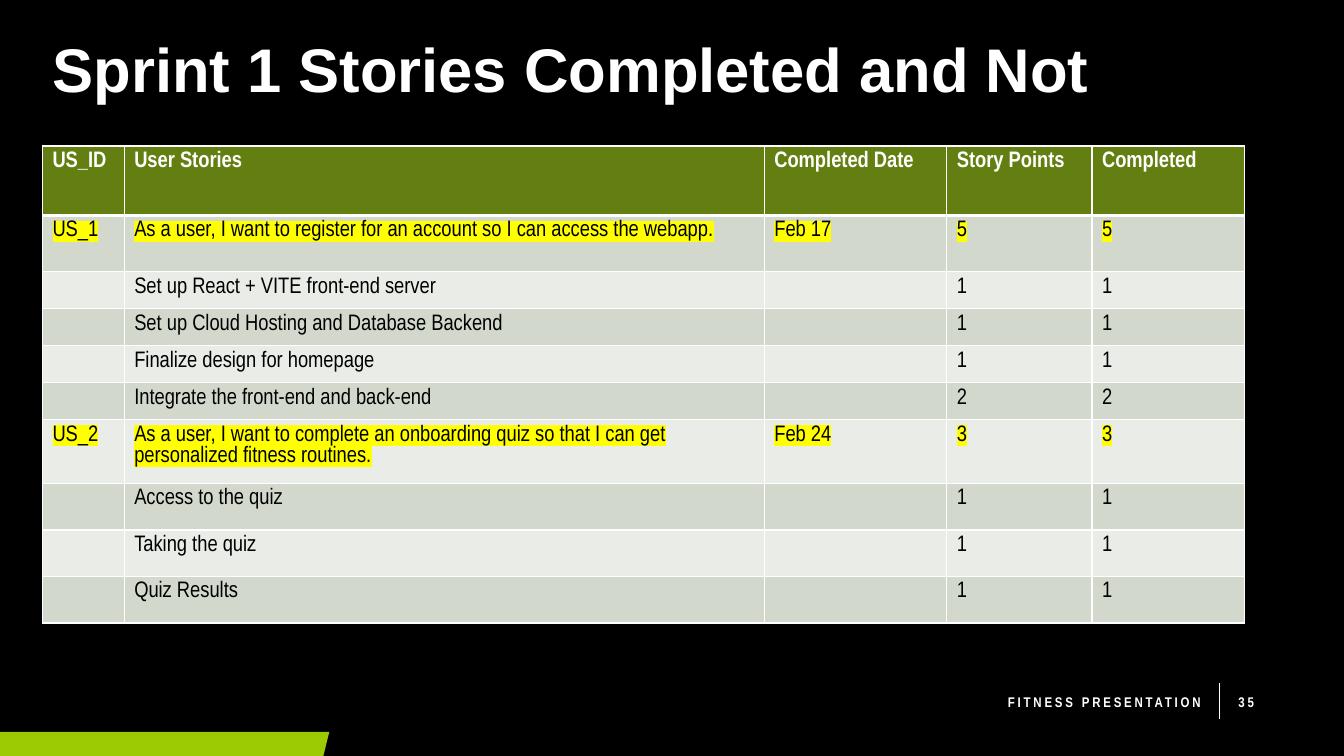
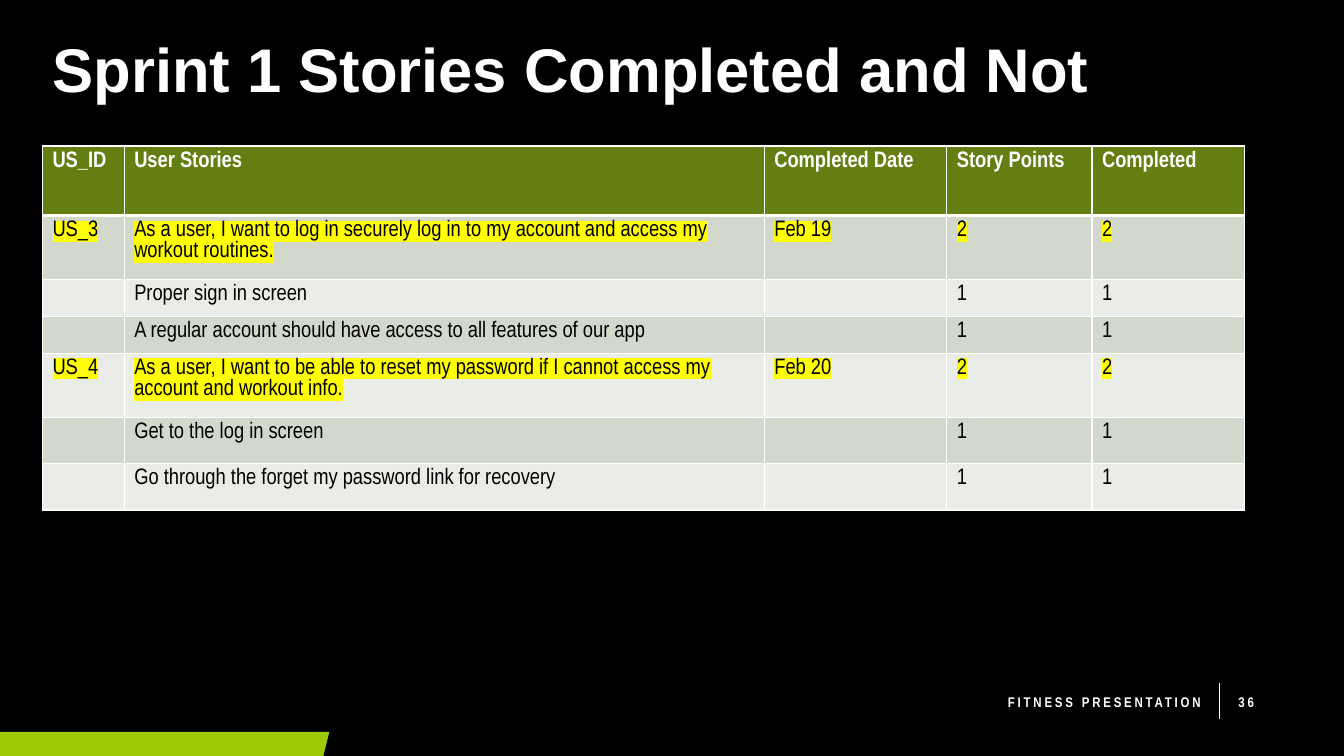
from lxml import etree
from pptx import Presentation
from pptx.dml.color import RGBColor
from pptx.enum.shapes import MSO_CONNECTOR
from pptx.enum.text import MSO_ANCHOR, MSO_AUTO_SIZE, PP_ALIGN
from pptx.oxml.ns import qn
from pptx.util import Cm, Pt

STRAIGHT = MSO_CONNECTOR.STRAIGHT
MIDDLE = MSO_ANCHOR.MIDDLE
NO_AUTOFIT = MSO_AUTO_SIZE.NONE
LEFT, RIGHT = PP_ALIGN.LEFT, PP_ALIGN.RIGHT

BLACK = RGBColor(0x00, 0x00, 0x00)
WHITE = RGBColor(0xFF, 0xFF, 0xFF)
LIME = RGBColor(0x9C, 0xCA, 0x03)
HEADER_GREEN = RGBColor(0x63, 0x7F, 0x12)
BAND_FILLS = (RGBColor(0xD3, 0xD8, 0xCC), RGBColor(0xEA, 0xEC, 0xE7))
YELLOW = RGBColor(0xFF, 0xFF, 0x00)

TITLE_FONT = "Arial"
BODY_FONT = "Arial Narrow"
TABLE_SIZE = Pt(16)

SLIDE_WIDTH, SLIDE_HEIGHT = Cm(33.87), Cm(19.05)
TITLE_BOX = (Cm(1.07), Cm(0), Cm(30.5), Cm(3.68))
FOOTER_BOX = (Cm(19.71), Cm(17.17), Cm(12.47), Cm(1.02))
ACCENT_BOX = (Cm(0), Cm(18.44), Cm(8.3), Cm(0.61))
TABLE_LEFT, TABLE_TOP = Cm(1.07), Cm(3.68)
COLUMN_WIDTHS = [Cm(width) for width in (2.06, 16.13, 4.6, 3.66, 3.84)]
HEADER_HEIGHT = Cm(1.75)
# Heights of the story row and of its task rows, for each story in a table
STORY_HEIGHTS = ((Cm(1.42), Cm(0.82)), (Cm(1.57), Cm(1.17)))

TITLE = "Sprint 1 Stories Completed and Not"
FOOTER = "FITNESS PRESENTATION"
HEADERS = ("US_ID", "User Stories", "Completed Date", "Story Points", "Completed")

# Slide number, then stories: id, story, date, points, tasks with points
SPRINT_SLIDES = (
    (35, (
        ("US_1", "As a user, I want to register for an account so I can access the webapp.",
         "Feb 17", 5, (
             ("Set up React + VITE front-end server", 1),
             ("Set up Cloud Hosting and Database Backend", 1),
             ("Finalize design for homepage", 1),
             ("Integrate the front-end and back-end", 2))),
        ("US_2", "As a user, I want to complete an onboarding quiz so that I can get "
         "personalized fitness routines.",
         "Feb 24", 3, (
             ("Access to the quiz", 1),
             ("Taking the quiz", 1),
             ("Quiz Results", 1))),
    )),
    (36, (
        ("US_3", "As a user, I want to log in securely log in to my account and access my "
         "workout routines.",
         "Feb 19", 2, (
             ("Proper sign in screen", 1),
             ("A regular account should have access to all features of our app", 1))),
        ("US_4", "As a user, I want to be able to reset my password if I cannot access my "
         "account and workout info.",
         "Feb 20", 2, (
             ("Get to the log in screen", 1),
             ("Go through the forget my password link for recovery", 1))),
    )),
)


def write_text(text_frame, text, *, size, font=BODY_FONT, color=WHITE, bold=False,
               align=LEFT, line_spacing=None, tracking=None, highlight=None):
    """Write one formatted paragraph into a text frame."""
    paragraph = text_frame.paragraphs[0]
    paragraph.alignment = align
    if line_spacing:
        paragraph.line_spacing = line_spacing
    if not text:
        # Keep the row height of an empty cell tied to the table's text size
        end = etree.SubElement(paragraph._p, qn("a:endParaRPr"), sz=str(int(size.pt * 100)))
        etree.SubElement(end, qn("a:latin"), typeface=font)
        return
    run = paragraph.add_run()
    run.text = text
    run.font.size = size
    run.font.name = font
    run.font.bold = bold
    run.font.color.rgb = color
    properties = run.font._element
    if tracking:
        properties.set("spc", str(int(tracking * 100)))
    if highlight:
        mark = etree.Element(qn("a:highlight"))
        etree.SubElement(mark, qn("a:srgbClr"), val=str(highlight))
        properties.find(qn("a:solidFill")).addnext(mark)


def set_borders(cell, **widths):
    """Draw white cell borders; widths are points by side: L, R, T, B."""
    properties = cell._tc.get_or_add_tcPr()
    for side, width in widths.items():
        line = etree.SubElement(properties, qn(f"a:ln{side}"), w=str(Pt(width)))
        fill = etree.SubElement(line, qn("a:solidFill"))
        etree.SubElement(fill, qn("a:srgbClr"), val=str(WHITE))


def set_up_master(presentation):
    """Give all slides the black background and the title position."""
    background = presentation.slide_master.background.fill
    background.solid()
    background.fore_color.rgb = BLACK
    layout = presentation.slide_layouts.get_by_name("Title Only")
    title = layout.placeholders[0]
    title.left, title.top, title.width, title.height = TITLE_BOX
    return layout


def add_accent(slide, left, top, width, height):
    """Slanted lime band in the bottom corner."""
    slant = Cm(0.15)
    builder = slide.shapes.build_freeform(left, top)
    builder.add_line_segments([(left + width, top), (left + width - slant, top + height),
                               (left, top + height)])
    band = builder.convert_to_shape()
    band.shadow.inherit = False
    band.fill.solid()
    band.fill.fore_color.rgb = LIME
    band.line.fill.background()


def add_footer(slide, number, left, top, width, height):
    """Footer label, divider and slide number."""
    number_width = Cm(1.22)
    label_width = Cm(10.8)
    parts = ((FOOTER, left, label_width, RIGHT),
             (str(number), left + width - number_width, number_width, LEFT))
    for text, part_left, part_width, align in parts:
        text_frame = slide.shapes.add_textbox(part_left, top, part_width, height).text_frame
        text_frame.word_wrap = True
        text_frame.vertical_anchor = MIDDLE
        write_text(text_frame, text, size=Pt(10), bold=True, align=align, tracking=2)

    divider_left = left + label_width + Cm(0.22)
    divider = slide.shapes.add_connector(STRAIGHT, divider_left, top + Cm(0.03),
                                         divider_left, top + Cm(0.94))
    divider.line.color.rgb = WHITE
    divider.line.width = Pt(1)
    etree.SubElement(divider._element.spPr, qn("a:effectLst"))


def add_title(slide):
    text_frame = slide.shapes.title.text_frame
    text_frame.auto_size = NO_AUTOFIT
    text_frame.vertical_anchor = MIDDLE
    write_text(text_frame, TITLE, size=Pt(44), font=TITLE_FONT, bold=True, line_spacing=0.9)


def story_rows(stories):
    """Yield height, cell texts and highlight for each row under the header."""
    for story, (story_height, task_height) in zip(stories, STORY_HEIGHTS):
        story_id, description, date, points, tasks = story
        yield story_height, (story_id, description, date, str(points), str(points)), YELLOW
        for task, task_points in tasks:
            yield task_height, ("", task, "", str(task_points), str(task_points)), None


def add_story_table(slide, stories, left, top):
    rows = [(HEADER_HEIGHT, HEADERS, None), *story_rows(stories)]
    table = slide.shapes.add_table(len(rows), len(HEADERS), left, top, sum(COLUMN_WIDTHS),
                                   sum(row[0] for row in rows)).table
    table.horz_banding = False
    for column, width in zip(table.columns, COLUMN_WIDTHS):
        column.width = width
    for index, (height, texts, highlight) in enumerate(rows):
        table.rows[index].height = height
        is_header = index == 0
        for cell, text in zip(table.rows[index].cells, texts):
            set_borders(cell, L=1, R=1, T=3 if index == 1 else 1, B=3 if is_header else 1)
            cell.fill.solid()
            cell.fill.fore_color.rgb = HEADER_GREEN if is_header else BAND_FILLS[(index - 1) % 2]
            write_text(cell.text_frame, text, size=TABLE_SIZE, bold=is_header,
                       color=WHITE if is_header else BLACK, highlight=highlight)


def add_sprint_slide(presentation, layout, number, stories):
    slide = presentation.slides.add_slide(layout)
    add_accent(slide, *ACCENT_BOX)
    add_title(slide)
    add_footer(slide, number, *FOOTER_BOX)
    add_story_table(slide, stories, TABLE_LEFT, TABLE_TOP)


def main():
    presentation = Presentation()
    presentation.slide_width, presentation.slide_height = SLIDE_WIDTH, SLIDE_HEIGHT
    layout = set_up_master(presentation)
    for number, stories in SPRINT_SLIDES:
        add_sprint_slide(presentation, layout, number, stories)
    presentation.save("out.pptx")


if __name__ == "__main__":
    main()
